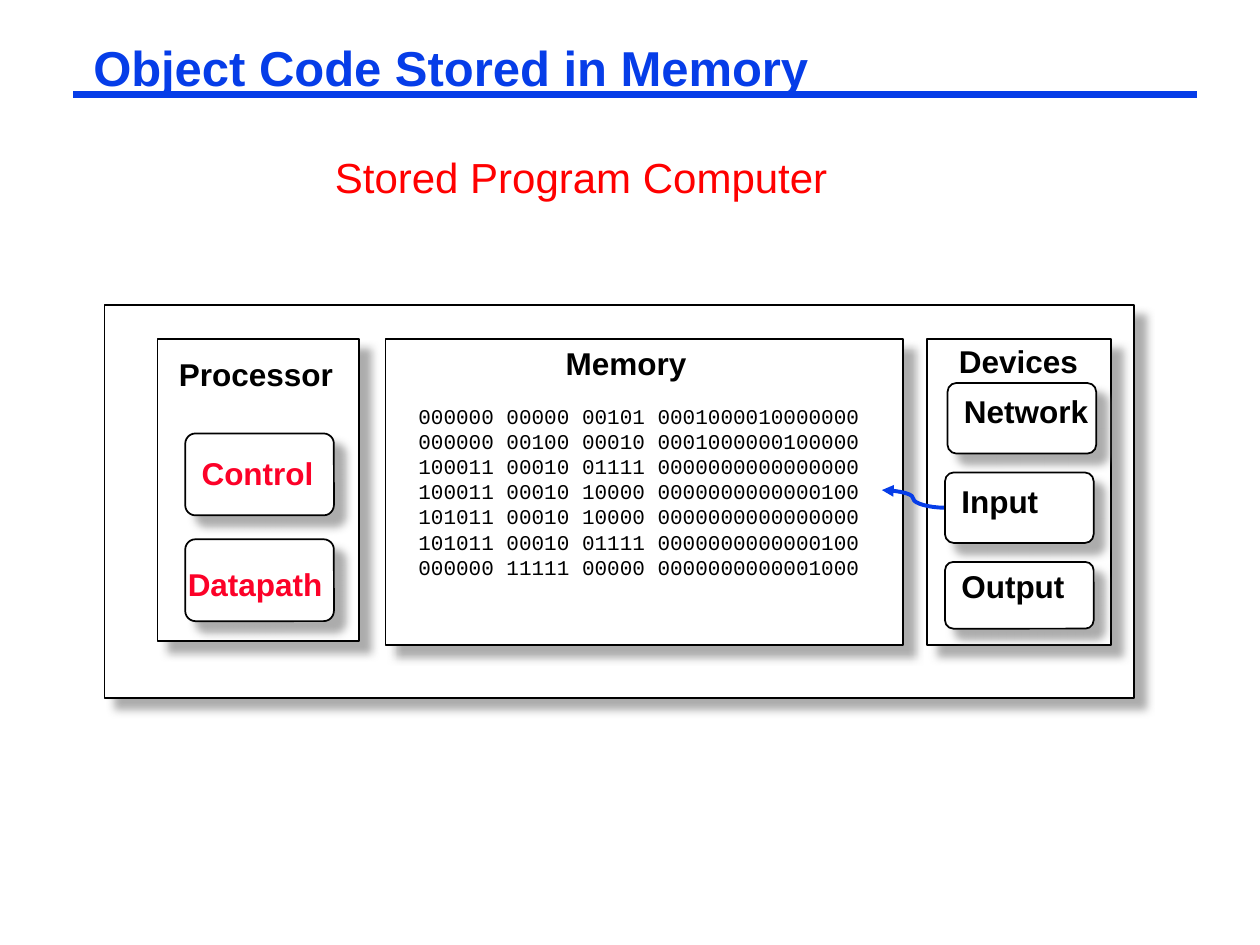
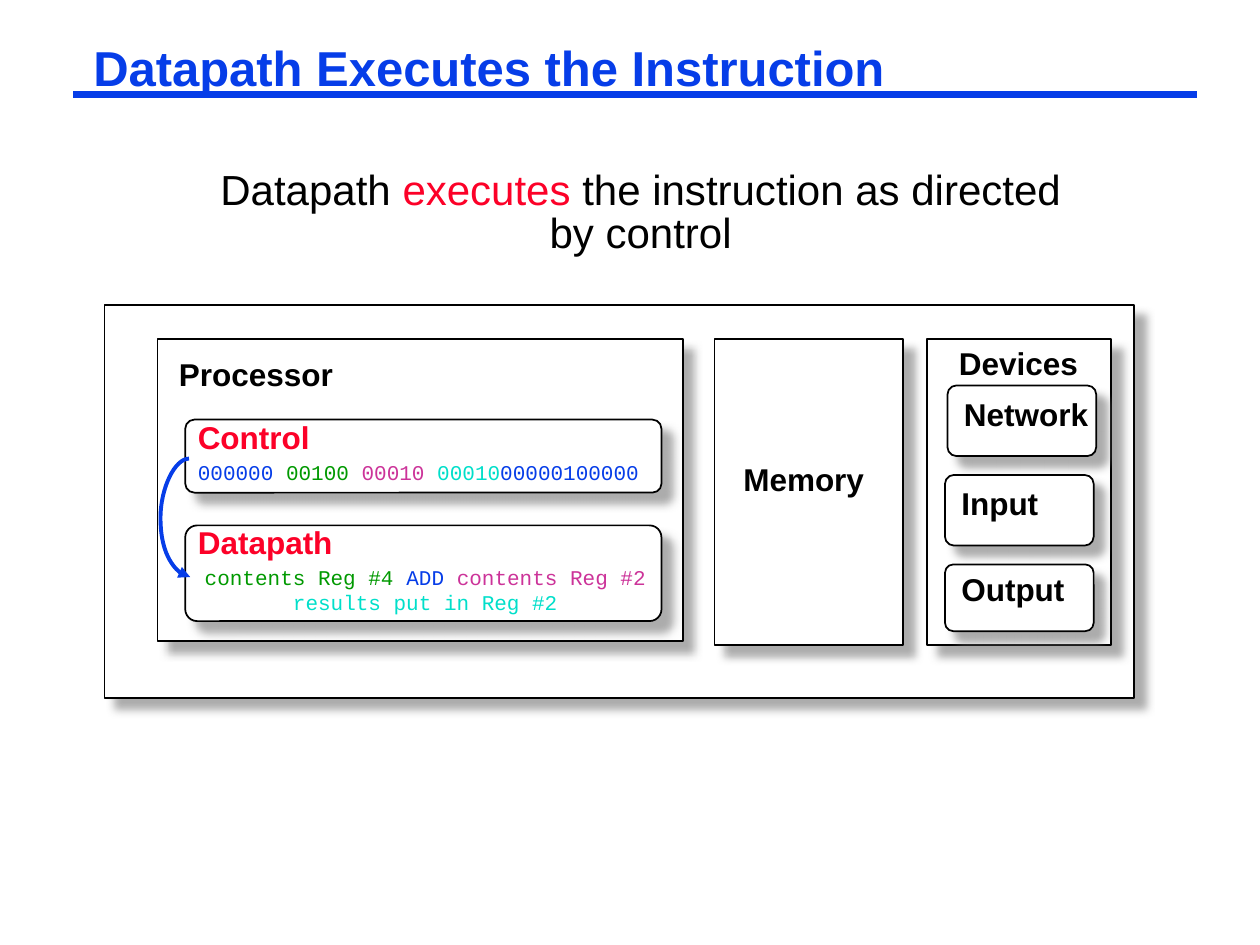
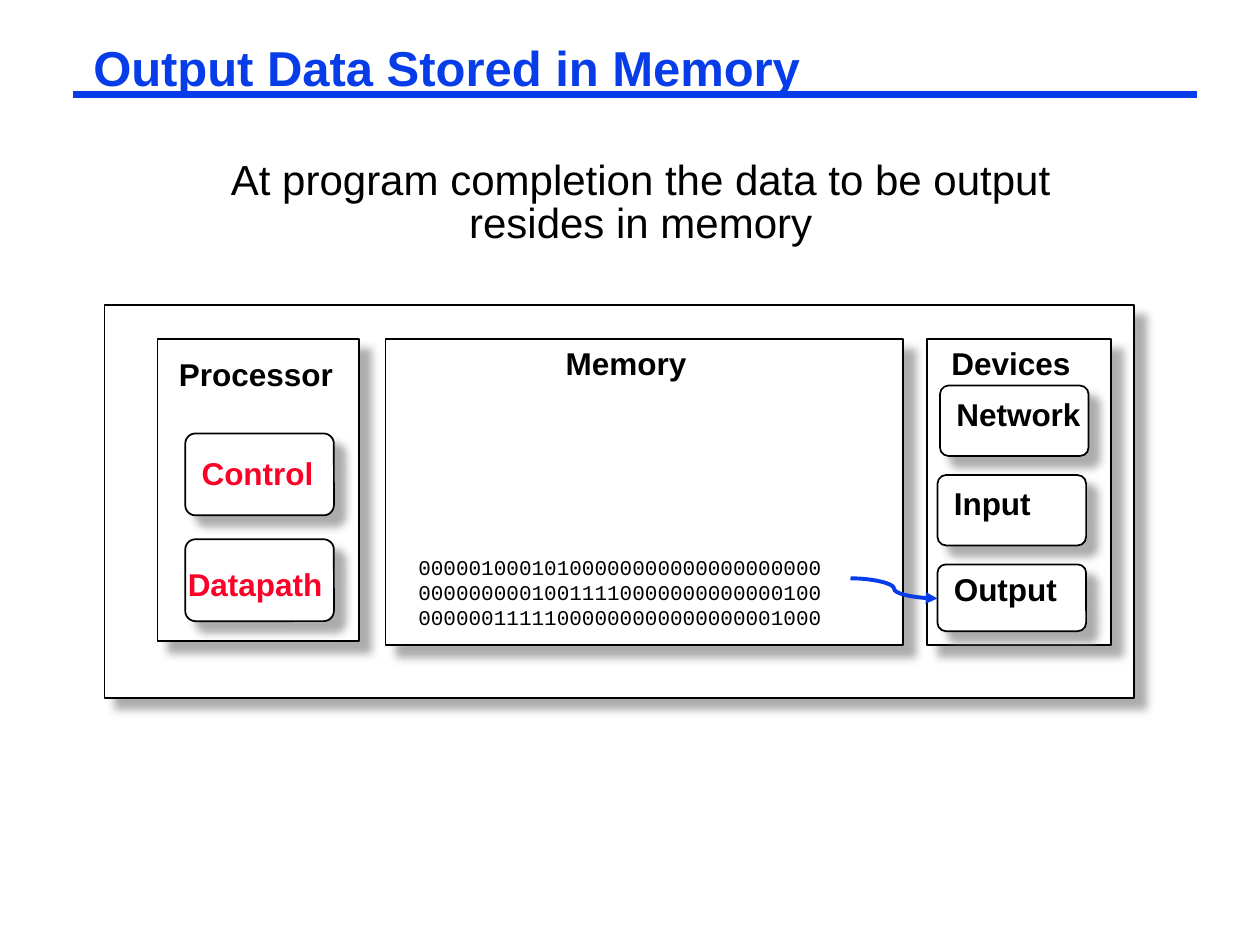
import lxml.etree
import pptx
import pptx.dml.color
import pptx.enum.shapes
import pptx.enum.text
import pptx.oxml
import pptx.oxml.ns
import pptx.util

Inches = pptx.util.Inches
Pt = pptx.util.Pt
qn = pptx.oxml.ns.qn
SHAPE = pptx.enum.shapes.MSO_SHAPE
CONNECTOR = pptx.enum.shapes.MSO_CONNECTOR
ALIGN = pptx.enum.text.PP_ALIGN

BLUE, RED, BRIGHT_RED = "063DE8", "FC0128", "FF0000"
GREEN, MAGENTA, CYAN = "009900", "CC3399", "00DFCA"
BLACK, WHITE = "000000", "FFFFFF"

SHADOW = (
    '<a:effectLst xmlns:a="http://schemas.openxmlformats.org/drawingml/2006/main">'
    '<a:outerShdw blurRad="63500" dist="107950" dir="2700000" algn="ctr" rotWithShape="0">'
    '<a:srgbClr val="919191"><a:alpha val="75000"/></a:srgbClr>'
    '</a:outerShdw></a:effectLst>'
)


def rgb(value):
    return pptx.dml.color.RGBColor.from_string(value)


class Deck:
    def __init__(self):
        self.prs = pptx.Presentation()
        self.prs.slide_width, self.prs.slide_height = Inches(10), Inches(7.5)
        self.s = None

    def slide(self, title, width):
        self.s = self.prs.slides.add_slide(self.prs.slide_layouts[5])
        self.line(CONNECTOR.STRAIGHT, 0.58, 0.75, 9.5, 0.75, 4.5)
        sp = self.s.shapes.title
        sp.left, sp.top, sp.width, sp.height = map(Inches, (0.67, 0.33, width, 0.46))
        self.fill_text(sp, [title], size=28, color=BLUE, bold=True, spacing=0.87, wrap=False)

    def fill_text(self, sp, lines, size=18, color=BLACK, font="Arial", bold=False,
                  spacing=None, wrap=True, align=ALIGN.LEFT, inset=(0.07, 0.03)):
        tf = sp.text_frame
        tf.word_wrap = wrap
        tf.auto_size = pptx.enum.text.MSO_AUTO_SIZE.SHAPE_TO_FIT_TEXT
        tf.vertical_anchor = pptx.enum.text.MSO_ANCHOR.TOP
        tf.margin_left = tf.margin_right = Inches(inset[0])
        tf.margin_top = tf.margin_bottom = Inches(inset[1])
        for i, line in enumerate(lines):
            p = tf.paragraphs[0] if i == 0 else tf.add_paragraph()
            p.alignment = align
            p.line_spacing = spacing
            p.font.name, p.font.size, p.font.bold = font, Pt(size), bold
            if isinstance(line, str):
                p.font.color.rgb = rgb(color)
                p.add_run().text = line
            else:
                for text, run_color in line:
                    r = p.add_run()
                    r.text = text
                    r.font.color.rgb = rgb(run_color)

    def text(self, lines, x, y, w, h, **style):
        sp = self.s.shapes.add_textbox(*map(Inches, (x, y, w, h)))
        self.fill_text(sp, lines, **style)

    def label(self, text, x, y, w, color=BLACK):
        self.text([text], x, y, w, 0.31, color=color, bold=True, spacing=0.85, wrap=False)

    def heading(self, line, y):
        self.text([line], 1.5, y, 7.17, 0.74, size=24, spacing=0.85, align=ALIGN.CENTER)

    def code(self, lines, x, y, w, h, align=ALIGN.LEFT):
        self.text(lines, x, y, w, h, size=12, font="Courier New", align=align)

    def box(self, x, y, w, h, kind=SHAPE.RECTANGLE):
        sp = self.s.shapes.add_shape(kind, *map(Inches, (x, y, w, h)))
        sp.fill.solid()
        sp.fill.fore_color.rgb = rgb(WHITE)
        sp.line.color.rgb = rgb(BLACK)
        sp.line.width = Pt(1)
        sp._element.spPr.append(pptx.oxml.parse_xml(SHADOW))
        return sp

    def rounded(self, x, y, w, h):
        self.box(x, y, w, h, SHAPE.ROUNDED_RECTANGLE).adjustments[0] = 0.125

    def line(self, kind, x1, y1, x2, y2, width):
        c = self.s.shapes.add_connector(kind, *map(Inches, (x1, y1, x2, y2)))
        c.line.color.rgb = rgb(BLUE)
        c.line.width = Pt(width)
        lxml.etree.SubElement(c._element.spPr, qn("a:effectLst"))
        return c

    def arrow(self, x1, y1, x2, y2, bend=None):
        c = self.line(CONNECTOR.CURVE, x1, y1, x2, y2, 2.25)
        lxml.etree.SubElement(c.line._get_or_add_ln(), qn("a:tailEnd"), type="triangle")
        if bend is not None:
            guides = c._element.spPr.find(qn("a:prstGeom")).get_or_add_avLst()
            lxml.etree.SubElement(guides, qn("a:gd"), name="adj1", fmla=f"val {bend * 100000}")

    def computer(self, processor_width, memory_left):
        self.box(0.83, 2.42, 8.17, 3.12)
        self.box(1.25, 2.69, processor_width, 2.4)
        self.label("Processor", 1.35, 2.83, 1.41)
        self.box(memory_left, 2.69, 7.17 - memory_left, 2.43)
        self.box(7.36, 2.69, 1.46, 2.43)

    def computer_with_wide_memory(self):
        self.computer(1.6, 3.06)
        for y in (3.44, 4.28):
            self.rounded(1.47, y, 1.18, 0.65)
        self.label("Control", 1.53, 3.62, 1.03, RED)
        self.label("Datapath", 1.42, 4.5, 1.21, RED)
        self.label("Memory", 4.42, 2.75, 1.1)

    def devices(self, x=7.5, y=2.75):
        self.label("Devices", x + 0.04, y, 1.12)
        for name, dx, dy, h, label_dy, label_width in (
            ("Network", 0.02, 0.31, 0.56, 0.09, 1.16),
            ("Input", 0, 1.02, 0.56, 0.09, 0.79),
            ("Output", 0, 1.73, 0.53, 0.06, 0.99),
        ):
            self.rounded(x + dx, y + dy, 1.18, h)
            self.label(name, x + dx + 0.06, y + dy + label_dy, label_width)


def object_code(deck):
    deck.slide("Object Code Stored in Memory", 5.83)
    deck.computer_with_wide_memory()
    deck.code([
        "000000 00000 00101 0001000010000000",
        "000000 00100 00010 0001000000100000",
        "100011 00010 01111 0000000000000000",
        "100011 00010 10000 0000000000000100",
        "101011 00010 10000 0000000000000000",
        "101011 00010 01111 0000000000000100",
        "000000 11111 00000 0000000000001000",
    ], 3.25, 3.17, 3.75, 1.45)
    deck.arrow(7.5, 4.03, 7, 3.89)
    deck.devices(y=2.73)
    deck.text(["Stored Program Computer"], 2.56, 1.15, 4.34, 0.51,
              size=24, color=BRIGHT_RED, wrap=False, inset=(0.1, 0.05))


def datapath(deck):
    deck.slide("Datapath Executes the Instruction", 6.44)
    deck.computer(4.17, 5.67)
    for name, y, h, width in (("Control", 3.33, 0.58, 1.03), ("Datapath", 4.17, 0.76, 1.21)):
        deck.rounded(1.47, y, 3.78, h)
        deck.label(name, 1.5, y, width, RED)
    deck.label("Memory", 5.83, 3.67, 1.1)
    deck.code([
        [("contents Reg #4", GREEN), (" ADD ", BLUE), ("contents Reg #2", MAGENTA)],
        [("results put in Reg #2", CYAN)],
    ], 1.5, 4.45, 3.75, 0.45, ALIGN.CENTER)
    deck.heading([
        ("Datapath ", BLACK), ("executes", RED),
        (" the instruction as directed by control", BLACK),
    ], 1.33)
    deck.code([[
        ("000000 ", BLUE), ("00100 ", GREEN), ("00010 ", MAGENTA),
        ("00010", CYAN), ("00000100000", BLUE),
    ]], 1.5, 3.62, 3.75, 0.25)
    deck.arrow(1.5, 3.64, 1.51, 4.58, bend=-23)
    deck.devices()


def output_data(deck):
    deck.slide("Output Data Stored in Memory", 5.76)
    deck.computer_with_wide_memory()
    deck.code([
        "00000100010100000000000000000000",
        "00000000010011110000000000000100",
        "00000011111000000000000000001000",
    ], 3.25, 4.37, 3.5, 0.65)
    deck.heading("At program completion the data to be output resides in memory", 1.25)
    deck.devices(x=7.44)
    deck.arrow(6.75, 4.59, 7.44, 4.75)


def main():
    deck = Deck()
    for build in (object_code, datapath, output_data):
        build(deck)
    deck.prs.save("out.pptx")


if __name__ == "__main__":
    main()
